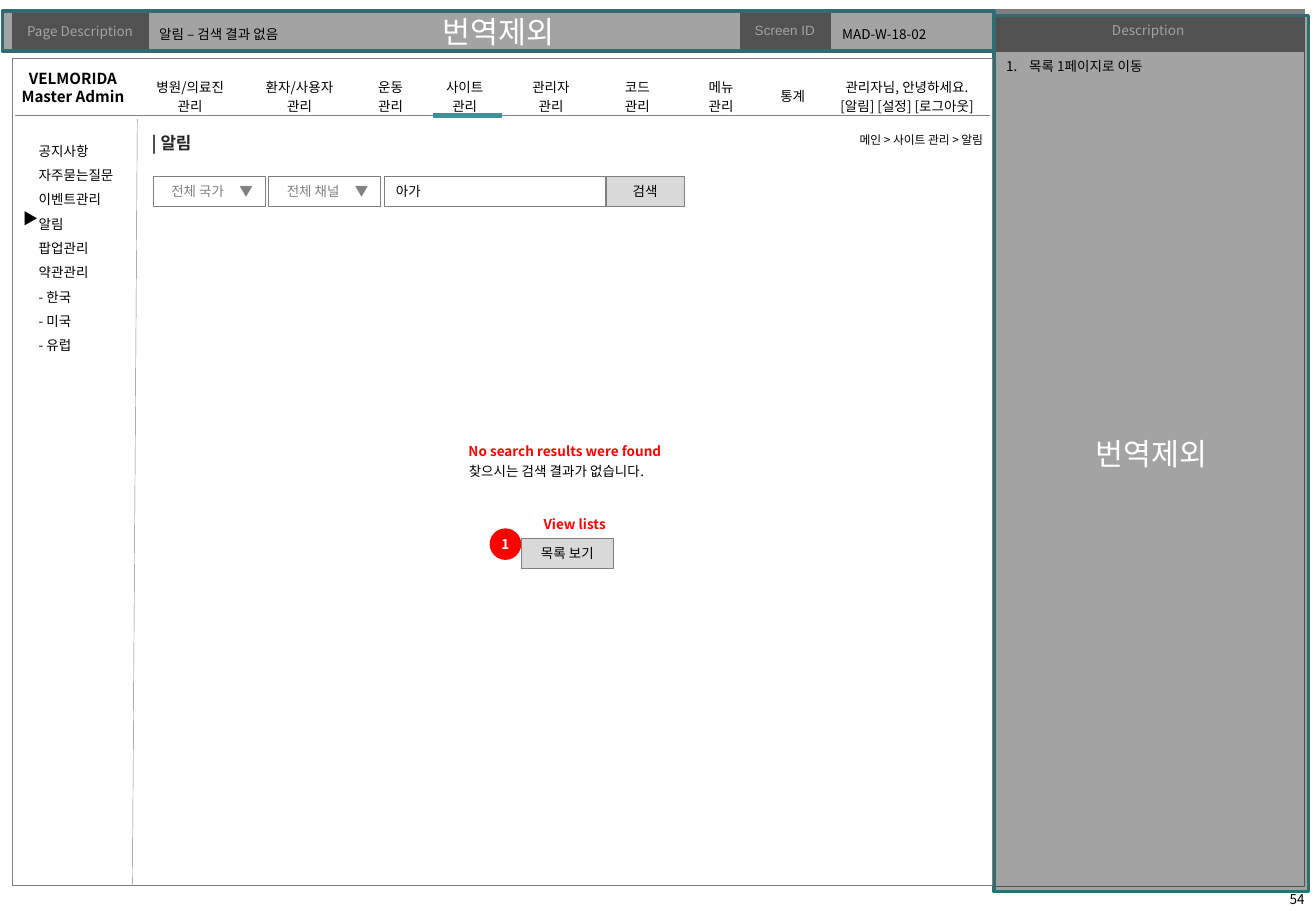
from lxml import etree
from pptx import Presentation
from pptx import util as u
from pptx.dml.color import RGBColor
from pptx.enum import shapes, text
from pptx.oxml.ns import qn

COLORS = {
    "black": "000000", "white": "FFFFFF", "gray": "808080", "button": "D9D9D9",
    "heading": "262626", "red": "FF0000", "frame": "2F6D72", "active": "3B9399",
}
KOREAN = "Noto Sans CJK KR"
PLAIN_TABLE = "{2D5ABB26-0587-4C30-8999-92F81FD0307C}"
LEFT, CENTER, RIGHT = text.PP_ALIGN.LEFT, text.PP_ALIGN.CENTER, text.PP_ALIGN.RIGHT
TOP, MIDDLE = text.MSO_ANCHOR.TOP, text.MSO_ANCHOR.MIDDLE
RECTANGLE, OVAL = shapes.MSO_SHAPE.RECTANGLE, shapes.MSO_SHAPE.OVAL


def rgb(name):
    return RGBColor.from_string(COLORS[name])


def inches(*values):
    return [u.Inches(value) for value in values]


def style(paragraph, size=8, color="black", bold=False, align=LEFT, font=KOREAN):
    paragraph.alignment = align
    paragraph.font.size = u.Pt(size)
    paragraph.font.bold = bold
    paragraph.font.color.rgb = rgb(color)
    paragraph.font.name = font
    properties = paragraph._p.pPr.find(qn("a:defRPr"))
    etree.SubElement(properties, qn("a:ea")).set("typeface", font)


def write(frame, content, anchor=TOP, insets=(0.1, 0.05), wrap=True, **look):
    frame.text = content
    frame.word_wrap = wrap
    frame.vertical_anchor = anchor
    frame.margin_left = frame.margin_right = u.Inches(insets[0])
    frame.margin_top = frame.margin_bottom = u.Inches(insets[1])
    for paragraph in frame.paragraphs:
        style(paragraph, **look)


def add_text(slide, box, content, **look):
    shape = slide.shapes.add_textbox(*inches(*box))
    write(shape.text_frame, content, **look)
    return shape


def add_box(slide, box, content="", fill=None, line="gray", width=0.25,
            kind=RECTANGLE, alpha=None, **look):
    shape = slide.shapes.add_shape(kind, *inches(*box))
    shape.shadow.inherit = False
    if fill:
        shape.fill.solid()
        shape.fill.fore_color.rgb = rgb(fill)
    else:
        shape.fill.background()
    if alpha:
        color = shape._element.spPr.find(qn("a:solidFill"))[0]
        etree.SubElement(color, qn("a:alpha")).set("val", str(alpha * 1000))
    if line:
        shape.line.color.rgb = rgb(line)
        shape.line.width = u.Pt(width)
    else:
        shape.line.fill.background()
    if content:
        write(shape.text_frame, content, **{"anchor": MIDDLE, "insets": (0, 0),
                                            "align": CENTER, **look})
    return shape


def add_line(slide, ends, color="gray", width=0.25):
    line = slide.shapes.add_connector(shapes.MSO_CONNECTOR.STRAIGHT, *inches(*ends))
    line.line.color.rgb = rgb(color)
    line.line.width = u.Pt(width)
    etree.SubElement(line._element.spPr, qn("a:effectLst"))


def add_row_table(slide, box, widths):
    table = slide.shapes.add_table(1, len(widths), *inches(*box)).table
    table._tbl.tblPr[0].text = PLAIN_TABLE
    table.first_row = table.horz_banding = False
    table.rows[0].height = u.Inches(box[3])
    for column, width in zip(table.columns, widths):
        column.width = u.Inches(width)
    return table


def add_borders(cell):
    properties = cell._tc.get_or_add_tcPr()
    for index, side in enumerate(("lnL", "lnR", "lnT", "lnB")):
        border = etree.Element(qn("a:" + side), w=str(u.Pt(0.25)))
        fill = etree.SubElement(border, qn("a:solidFill"))
        etree.SubElement(fill, qn("a:srgbClr")).set("val", COLORS["gray"])
        properties.insert(index, border)


def place(slide, placeholder, box, content, **look):
    """Move a placeholder to its box, in front of everything drawn so far."""
    placeholder.left, placeholder.top, placeholder.width, placeholder.height = inches(*box)
    slide.shapes._spTree.append(placeholder._element)
    frame = placeholder.text_frame
    frame.auto_size = text.MSO_AUTO_SIZE.NONE
    frame.text = content
    numbered = look.pop("numbered", False)
    properties = frame.paragraphs[0]._p.get_or_add_pPr()
    hang = u.Inches(0.19) if numbered else 0
    properties.set("marL", str(hang))
    properties.set("indent", str(-hang))
    if numbered:
        etree.SubElement(properties, qn("a:buFont")).set("typeface", "+mj-lt")
        etree.SubElement(properties, qn("a:buAutoNum")).set("type", "arabicPeriod")
    else:
        etree.SubElement(properties, qn("a:buNone"))
    frame.paragraphs[0].space_before = u.Pt(0)
    frame.word_wrap = True
    frame.vertical_anchor = look.pop("anchor", TOP)
    frame.margin_left = frame.margin_right = u.Inches(look.pop("inset", 0.1))
    frame.margin_top = frame.margin_bottom = u.Inches(0.05)
    style(frame.paragraphs[0], **look)


def add_overlay(slide, box):
    add_box(slide, box, "번역제외", fill="black", alpha=36, line="frame", width=2,
            size=18, color="white")


def page_header(slide, box):
    x, y, width, height = box
    table = add_row_table(slide, box, (1.12, 4.87, 0.74, 1.35))
    cells = (("Page Description", KOREAN), ("", KOREAN), ("Screen ID", "Arial"), ("", KOREAN))
    for cell, (label, font) in zip(table.rows[0].cells, cells):
        cell.fill.solid()
        cell.fill.fore_color.rgb = rgb("gray" if label else "white")
        add_borders(cell)
        cell.margin_left = cell.margin_right = u.Inches(0.04)
        cell.margin_top = cell.margin_bottom = u.Inches(0.04)
        cell.vertical_anchor = MIDDLE
        cell.text = label
        paragraph = cell.text_frame.paragraphs[0]
        style(paragraph, color="white", align=CENTER, font=font)
        if not label:
            etree.SubElement(paragraph._p, qn("a:endParaRPr")).set("sz", "800")
    add_overlay(slide, (x - 0.08, y, width + 0.09, height + 0.01))
    title, screen_id = list(slide.placeholders)[:2]
    place(slide, title, (x + 1.17, y + 0.04, 5.01, 0.3), "알림 – 검색 결과 없음",
          anchor=MIDDLE, inset=0.04)
    place(slide, screen_id, (x + 6.73, y + 0.04, 1.3, 0.3), "MAD-W-18-02", anchor=MIDDLE)


def description_panel(slide, box):
    x, y, width, height = box
    add_box(slide, (x, y + 0.31, width, height - 0.31))
    add_box(slide, (x, y, width, 0.34), "Description", fill="gray", color="white")
    add_text(slide, (x + 2.33, y + 7.21, 0.35, 0.2), "54", align=CENTER, wrap=False)
    add_overlay(slide, (x + 0.01, y + 0.05, 2.59, 7.21))
    place(slide, list(slide.placeholders)[2], (x + 0.01, y + 0.35, 2.55, 6.9),
          "목록 1페이지로 이동", numbered=True)


def navigation(slide, box):
    x, y, width, height = box
    bottom = y + 0.47
    add_box(slide, box)
    # Side menu
    add_line(slide, (x + 1.03, y + 0.5, x + 0.99, y + 6.8))
    menu = add_text(slide, (x + 0.12, y + 0.58, 0.88, 1.92),
                    "공지사항\n자주묻는질문\n이벤트관리\n알림\n팝업관리\n약관관리\v- 한국\n- 미국\n- 유럽")
    for paragraph in menu.text_frame.paragraphs:
        paragraph.line_spacing = u.Pt(14.4)
    add_text(slide, (x - 0.01, y + 1.19, 0.33, 0.25), "▶", size=9, wrap=False)
    # Top menu
    add_line(slide, (x + 0.02, bottom, x + 8.05, bottom))
    items = (
        (0.85, "병원/의료진\n관리"), (0.95, "환자/사용자\n관리"), (0.55, "운동\n관리"),
        (0.67, "사이트\n관리"), (0.75, "관리자\n관리"), (0.67, "코드\n관리"),
        (0.71, "메뉴\n관리"), (0.47, "통계"),
        (1.41, "관리자님, 안녕하세요.\n[알림] [설정] [로그아웃]"),
    )
    table = add_row_table(slide, (x + 1.04, y + 0.06, 7.03, 0.41), [item[0] for item in items])
    for cell, (_, label) in zip(table.rows[0].cells, items):
        cell.vertical_anchor = MIDDLE
        cell.text = label
        for paragraph in cell.text_frame.paragraphs:
            style(paragraph, align=CENTER)
    add_line(slide, (x + 3.46, bottom, x + 4.03, bottom), color="active", width=3)
    add_text(slide, (x - 0.09, y + 0.04, 1.18, 0.4), "VELMORIDA\nMaster Admin",
             size=9, bold=True, align=CENTER)


def search_bar(slide, box):
    x, y, width, height = box
    for offset, label in ((0, "전체 국가"), (0.95, "전체 채널")):
        select = add_box(slide, (x + offset, y, 0.92, height), label, fill="white")
        frame = select.text_frame
        frame.text = label + "\t▼"
        frame.margin_left = u.Inches(0.15)
        properties = frame.paragraphs[0]._p.get_or_add_pPr()
        stops = etree.SubElement(properties, qn("a:tabLst"))
        etree.SubElement(stops, qn("a:tab"), pos=str(u.Inches(0.56)), algn="l")
        style(frame.paragraphs[0], color="gray")
    add_box(slide, (x + 1.9, y, 1.82, height), "아가", align=LEFT, insets=(0.1, 0))
    add_box(slide, (x + 3.73, y, 0.64, height), "검색", fill="button")


def content_area(slide, box):
    x, y, width, height = box
    add_text(slide, (x, y, 0.58, 0.27), "| 알림", size=10, bold=True,
             color="heading", wrap=False)
    add_text(slide, (x + 5.69, y, 1.3, 0.22), "메인 > 사이트 관리 > 알림", size=7,
             align=RIGHT, insets=(0.05, 0.05))
    search_bar(slide, (x + 0.11, y + 0.41, 4.37, 0.25))
    # Empty result message
    add_text(slide, (x + 2.61, y + 2.72, 1.81, 0.24), "찾으시는 검색 결과가 없습니다.")
    for left, top, label in ((2.38, 2.61, "No search results were found"),
                             (2.46, 3.21, "View lists")):
        add_text(slide, (x + left, y + top, 2.24, 0.13), label, color="red",
                 bold=True, align=CENTER, insets=(0, 0))
    # List button and its callout number
    add_box(slide, (x + 3.14, y + 3.39, 0.76, 0.25), "목록 보기", fill="button")
    add_box(slide, (x + 2.88, y + 3.31, 0.26, 0.26), "1", fill="red", line=None,
            kind=OVAL, color="white", bold=True)


def main():
    presentation = Presentation()
    presentation.slide_width, presentation.slide_height = inches(10.83, 7.5)
    slide = presentation.slides.add_slide(presentation.slide_layouts[3])
    # The description panel lies below the header's right edge
    description_panel(slide, (8.17, 0.08, 2.56, 7.22))
    page_header(slide, (0.1, 0.09, 8.07, 0.32))
    navigation(slide, (0.1, 0.48, 8.07, 6.81))
    content_area(slide, (1.15, 1.04, 7.0, 6.2))
    presentation.save("out.pptx")


if __name__ == "__main__":
    main()
